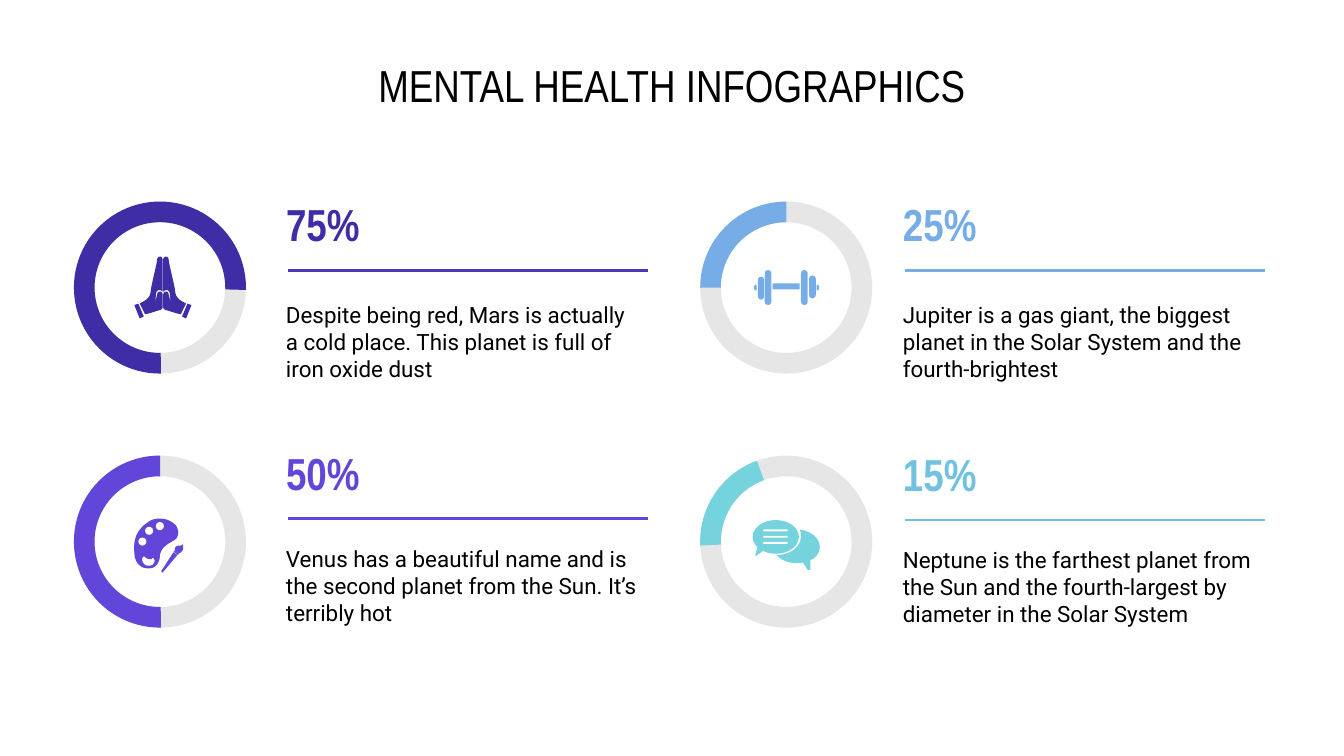
from itertools import product

from lxml import etree
from pptx import Presentation
from pptx import util as u
from pptx.dml.color import RGBColor
from pptx.enum import shapes, text
from pptx.oxml.ns import qn

TITLE = "MENTAL HEALTH INFOGRAPHICS"
CONDENSED, BODY = "Arial Narrow", "Roboto"
BLACK, WHITE, TRACK = "000000", "FFFFFF", "E6E6E6"

TOPICS = [
    dict(share="75%", about="Despite being red, Mars is actually a cold place. This planet is full of iron oxide dust",
         ring="3F2DA5", heading="3F2DA5", rule="5038BC", arc=(89.3, 1.6), top=108.72, icon="hands"),
    dict(share="25%", about="Jupiter is a gas giant, the biggest planet in the Solar System and the fourth-brightest",
         ring="77ADE6", heading="77ADE6", rule="77ADE6", arc=(179.9, 270.1), top=108.72, icon="dumbbell"),
    dict(share="50%", about="Venus has a beautiful name and is the second planet from the Sun. It’s terribly hot",
         ring="6146D9", heading="6146D9", rule="6146D9", arc=(89.3, 270.2), top=241.92, icon="palette"),
    dict(share="15%", about="Neptune is the farthest planet from the Sun and the fourth-largest by diameter in the Solar System",
         ring="74D3DC", heading="70C2DF", rule="70C2DF", arc=(177.4, 250.1), top=242.64, icon="chat"),
]
RING_LEFTS, RING_TOPS, RING_SIZE, RING_WIDTH = (39.6, 375.12), (108, 244.08), 92.16, 0.12
TEXT_LEFTS, ABOUT_HEIGHTS = (146.16, 476.64), (54.72, 49.68)
INSET, RULE_WIDTH = 7.2, 192.96

ICON_UNIT = 0.72
PRECISION = 100
CURVE_STEPS = 6
BAR = shapes.MSO_SHAPE.RECTANGLE
PLATE = shapes.MSO_SHAPE.ROUNDED_RECTANGLE
DOT = shapes.MSO_SHAPE.OVAL
CAP = shapes.MSO_SHAPE.FLOWCHART_DELAY

HAND = ("M 119 191 C 118 191 117 192 117 193 C 117 196 112 214 112 218 C 111 223 107 224 104 226 "
        "L 108 234 C 108 234 112 233 115 232 C 117 231 121 231 121 229 L 121 219 "
        "C 121 218 120 217 119 217 C 118 217 117 218 117 219 C 116 224 115 225 115 225 "
        "C 115 225 116 223 116 219 C 116 218 117 216 118 216 L 119 216 C 120 216 121 217 121 217 "
        "L 121 193 C 121 192 120 191 119 191")
CUFF = "M 103 226 L 100 227 L 104 237 L 107 235.5"
PALETTE = ("M 120 386 C 117 386 114 386 111 388 C 101 394 99 403 100 411 C 100 418 104 423 110 423 "
           "L 111 423 C 117 423 119 417 119 414 C 119 410 122 406 128 403 C 133 401 134 396 131 391 "
           "C 129 389 125 386 120 386 "
           "M 107 414 C 108 414 109 416 111 416 C 112 416 112 416 113 416 L 113 415 "
           "C 116 415 116 420 112 421 C 111 421 111 421 110 421 C 107 421 105 417 106 415 L 107 414")
BRISTLES = "M 136 405 C 136 405 136 406 134 406 C 131 406 130 407 130 410 L 133 412 C 138 410 136 405 136 405"
FERRULE = "M 130 410 L 129 410.5 L 132.5 413 L 133 412"
HANDLE = "M 129 411 L 120 425 L 120.5 426 L 121 426 L 132 413"
REPLY = ("M 595 394 C 596 396 596 398 596 399 C 596 407 588 413 578 413 C 581 417 587 419 593 419 "
         "C 603 419 610 414 610 407 C 610 400 603 395 595 394")
SPEECH_TAIL = "M 564 406 L 562 413 L 562.5 414 L 563 413.5 L 569 409"
REPLY_TAIL = "M 603 416 L 597 418 L 601 424 L 602 424.3 L 603 424"

OUTLINES = {
    "hands": [(HAND, None), (CUFF, None), (HAND, 242.5), (CUFF, 242.5)],
    "dumbbell": [],
    "palette": [(PALETTE, None), (BRISTLES, None), (FERRULE, None), (HANDLE, None)],
    "chat": [(REPLY, None), (SPEECH_TAIL, None), (REPLY_TAIL, None)],
}
PRESETS = {
    "hands": [],
    "dumbbell": [(PLATE, 569, 201, 5, 26), (PLATE, 564, 206, 4.5, 17), (PLATE, 596, 201, 5, 26),
                 (PLATE, 602, 205, 5, 17), (BAR, 575, 211, 20, 4.5),
                 (CAP, 561, 212, 2, 4, 180), (CAP, 607.5, 212, 2, 4)],
    "palette": [],
    "chat": [(DOT, 560, 387, 34.5, 25)],
}
WHITE_PRESETS = {
    "hands": [],
    "dumbbell": [],
    "palette": [(DOT, x, y, 6, 6) for x, y in ((103, 400), (108, 392), (116, 388.5))],
    "chat": [(BAR, 568, y, 18, 1.5) for y in (394, 398.7, 403.3)],
}


def color(value):
    return RGBColor.from_string(value)


def paint(shape, fill):
    shape.shadow.inherit = False
    shape.fill.solid()
    shape.fill.fore_color.rgb = color(fill)
    shape.line.fill.background()


def add_preset(parent, kind, left, top, width, height, fill, rotation=0):
    shape = parent.add_shape(kind, u.Pt(left), u.Pt(top), u.Pt(width), u.Pt(height))
    paint(shape, fill)
    shape.rotation = rotation
    if kind == PLATE:
        shape.adjustments[0] = 0.5
    return shape


def contour_points(contour):
    points = []
    for step in contour.replace("L", "|").replace("C", "|").split("|"):
        numbers = [float(n) for n in step.split()]
        pairs = list(zip(numbers[::2], numbers[1::2]))
        if len(pairs) == 1:
            points += pairs
            continue
        corners = [points[-1], *pairs]
        for i in range(1, CURVE_STEPS + 1):
            t = i / CURVE_STEPS
            weights = ((1 - t) ** 3, 3 * t * (1 - t) ** 2, 3 * t * t * (1 - t), t ** 3)
            points.append(tuple(sum(w * c[axis] for w, c in zip(weights, corners)) for axis in (0, 1)))
    return points


def add_outline(parent, outline, fill, mirror):
    builder = None
    for contour in outline.split("M")[1:]:
        points = [((x if mirror is None else mirror - x) * PRECISION, y * PRECISION)
                  for x, y in contour_points(contour)]
        if builder is None:
            builder = parent.build_freeform(*points[0], scale=u.Pt(ICON_UNIT) / PRECISION)
        else:
            builder.move_to(*points[0])
        builder.add_line_segments(points[1:], close=True)
    paint(builder.convert_to_shape(), fill)


def add_icon(parent, name, fill):
    icon = parent.add_group_shape().shapes
    for outline, mirror in OUTLINES[name]:
        add_outline(icon, outline, fill, mirror)
    for presets, tint in ((PRESETS, fill), (WHITE_PRESETS, WHITE)):
        for kind, left, top, width, height, *rotation in presets[name]:
            box = [n * ICON_UNIT for n in (left, top, width, height)]
            add_preset(icon, kind, *box, tint, *rotation)


def write(shape, words, font, size, fill, bold=False, align=text.PP_ALIGN.LEFT):
    frame = shape.text_frame
    frame.word_wrap = True
    frame.auto_size = text.MSO_AUTO_SIZE.NONE
    frame.vertical_anchor = text.MSO_ANCHOR.MIDDLE
    frame.margin_left = frame.margin_right = frame.margin_top = frame.margin_bottom = u.Pt(INSET)
    paragraph = frame.paragraphs[0]
    paragraph.alignment = align
    run = paragraph.add_run()
    run.text = words
    run.font.name, run.font.size, run.font.bold = font, u.Pt(size), bold
    run.font.color.rgb = color(fill)


def add_text(parent, left, top, width, height, *style, **options):
    box = parent.add_textbox(u.Pt(left), u.Pt(top), u.Pt(width), u.Pt(height))
    write(box, *style, **options)


def add_rule(parent, left, top, fill):
    rule = parent.add_connector(shapes.MSO_CONNECTOR.STRAIGHT, u.Pt(left), u.Pt(top),
                                u.Pt(left + RULE_WIDTH), u.Pt(top))
    rule.line.color.rgb = color(fill)
    rule.line.width = u.Pt(1.5)
    etree.SubElement(rule._element.spPr, qn("a:effectLst"))


def add_ring(parent, left, top, arc, fill):
    box = (left, top, RING_SIZE, RING_SIZE)
    track = add_preset(parent, shapes.MSO_SHAPE.DONUT, *box, TRACK)
    track.adjustments[0] = RING_WIDTH
    share = add_preset(parent, shapes.MSO_SHAPE.BLOCK_ARC, *box, fill)
    for i, degrees in enumerate(arc):
        share.adjustments[i] = degrees * 0.6
    share.adjustments[2] = RING_WIDTH


def main():
    deck = Presentation()
    deck.slide_width, deck.slide_height = u.Pt(720), u.Pt(405)
    slide = deck.slides.add_slide(deck.slide_layouts[5])
    title = slide.shapes.title
    title.left, title.top, title.width, title.height = u.Pt(36), u.Pt(32.4), u.Pt(648), u.Pt(25.92)
    write(title, TITLE, CONDENSED, 24, BLACK, align=text.PP_ALIGN.CENTER)

    for topic, (row, column) in zip(TOPICS, product(range(2), repeat=2)):
        left, top = TEXT_LEFTS[column], topic["top"]
        add_ring(slide.shapes, RING_LEFTS[column], RING_TOPS[row], topic["arc"], topic["ring"])
        add_icon(slide.shapes, topic["icon"], topic["ring"])
        add_text(slide.shapes, left, top, 118.8, 22.32, topic["share"], CONDENSED, 24,
                 topic["heading"], bold=True)
        add_rule(slide.shapes, left + 7.92, top + 36, topic["rule"])
        add_text(slide.shapes, left, top + 46.8, 203.76, ABOUT_HEIGHTS[row], topic["about"],
                 BODY, 12, BLACK)
    deck.save("out.pptx")


if __name__ == "__main__":
    main()
